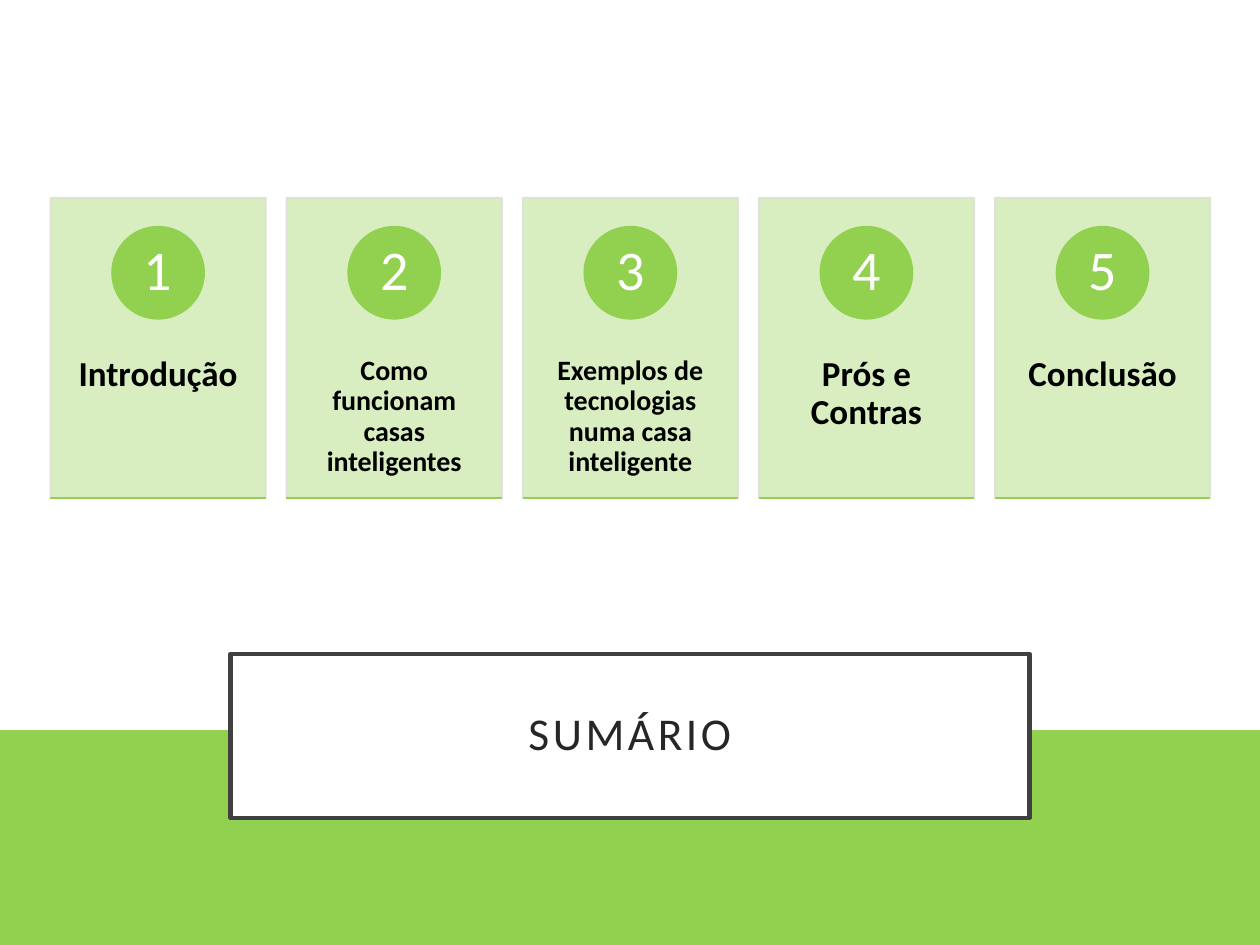
from dataclasses import dataclass

from lxml import etree
from pptx import Presentation
from pptx import util as u
from pptx.dml.color import RGBColor
from pptx.enum import shapes, text
from pptx.oxml import ns


@dataclass(frozen=True)
class Theme:
    font: str = "Calibri"
    green: str = "92D050"
    card: str = "D4ECBA"
    edge: str = "DEE0D9"
    white: str = "FFFFFF"
    frame: str = "404040"
    ink: str = "262626"
    black: str = "000000"
    head: int = 26
    digit: int = 32
    large: int = 20
    small: int = 16


theme = Theme()


def paint(shape, fill, line, width=1, alpha=None):
    """Set fill and outline, with an optional opacity in percent."""
    shape.fill.solid()
    shape.fill.fore_color.rgb = RGBColor.from_string(fill)
    shape.line.color.rgb = RGBColor.from_string(line)
    shape.line.width = u.Pt(width)
    shape.shadow.inherit = False
    if alpha:
        for clr in shape._element.spPr.iter(ns.qn("a:srgbClr")):
            etree.SubElement(clr, ns.qn("a:alpha"), val=str(alpha * 1000))


def write(shape, words, size, color, pad, anchor, bold=False):
    """Fill a shape with one centred paragraph; pad is (sides, top and bottom)."""
    frame = shape.text_frame
    side, end = (u.Inches(n) for n in pad)
    form = {"word_wrap": True, "auto_size": text.MSO_AUTO_SIZE.NONE,
            "vertical_anchor": anchor, "margin_left": side, "margin_right": side,
            "margin_top": end, "margin_bottom": end}
    for name, value in form.items():
        setattr(frame, name, value)
    para = frame.paragraphs[0]
    para.alignment = text.PP_ALIGN.CENTER
    para.line_spacing = 0.9
    run = para.add_run()
    run.text = words
    for name, value in {"name": theme.font, "size": u.Pt(size), "bold": bold}.items():
        setattr(run.font, name, value)
    run.font.color.rgb = RGBColor.from_string(color)
    return run


RECT, OVAL = shapes.MSO_SHAPE.RECTANGLE, shapes.MSO_SHAPE.OVAL
TOP, MID = text.MSO_ANCHOR.TOP, text.MSO_ANCHOR.MIDDLE

deck = Presentation()
deck.slide_width, deck.slide_height = u.Inches(10), u.Inches(7.5)
slide = deck.slides.add_slide(deck.slide_layouts[5])

# Title over the green band
title = slide.shapes.title
place = {"left": 1.83, "top": 5.19, "width": 6.34, "height": 1.3}
for name, value in place.items():
    setattr(title, name, u.Inches(value))
paint(title, theme.white, theme.frame, 2.5)
run = write(title, "SUMÁRIO", theme.head, theme.ink, (0.2, 0.2), MID)
run.font._element.set("spc", "200")

band = slide.shapes.add_shape(RECT, 0, u.Inches(5.8), u.Inches(10), u.Inches(1.7))
paint(band, theme.green, theme.green)
title._element.addprevious(band._element)

# Numbered cards
topics = [
    ("Introdução", theme.large),
    ("Como funcionam casas inteligentes", theme.small),
    ("Exemplos de tecnologias numa casa inteligente", theme.small),
    ("Prós e Contras", theme.large),
    ("Conclusão", theme.large),
]
left, wide, step = 0.4, 1.71, 1.874
top, tall = 1.57, 2.38
disc, box = 0.73, 0.51

cards = slide.shapes.add_group_shape().shapes
for i, (topic, size) in enumerate(topics):
    x = left + i * step
    mid = x + wide / 2

    card = cards.add_shape(RECT, *map(u.Inches, (x, top, wide, tall)))
    paint(card, theme.card, theme.edge, alpha=90)

    label = cards.add_textbox(*map(u.Inches, (x, 2.47, wide, 1.43)))
    write(label, topic, size, theme.black, (0.13, 0.36), TOP, bold=True)

    badge = cards.add_shape(OVAL, *map(u.Inches, (mid - disc / 2, 1.8, disc, disc)))
    paint(badge, theme.green, theme.green)

    digit = cards.add_textbox(*map(u.Inches, (mid - box / 2, 1.91, box, box)))
    write(digit, str(i + 1), theme.digit, theme.white, (0.06, 0.01), MID)

    base = top + tall
    rule = cards.add_connector(shapes.MSO_CONNECTOR.STRAIGHT,
                               *map(u.Inches, (x, base, x + wide, base)))
    rule.line.color.rgb = RGBColor.from_string(theme.green)
    rule.line.width = u.Pt(1)
    etree.SubElement(rule._element.spPr, ns.qn("a:effectLst"))

deck.save("out.pptx")
